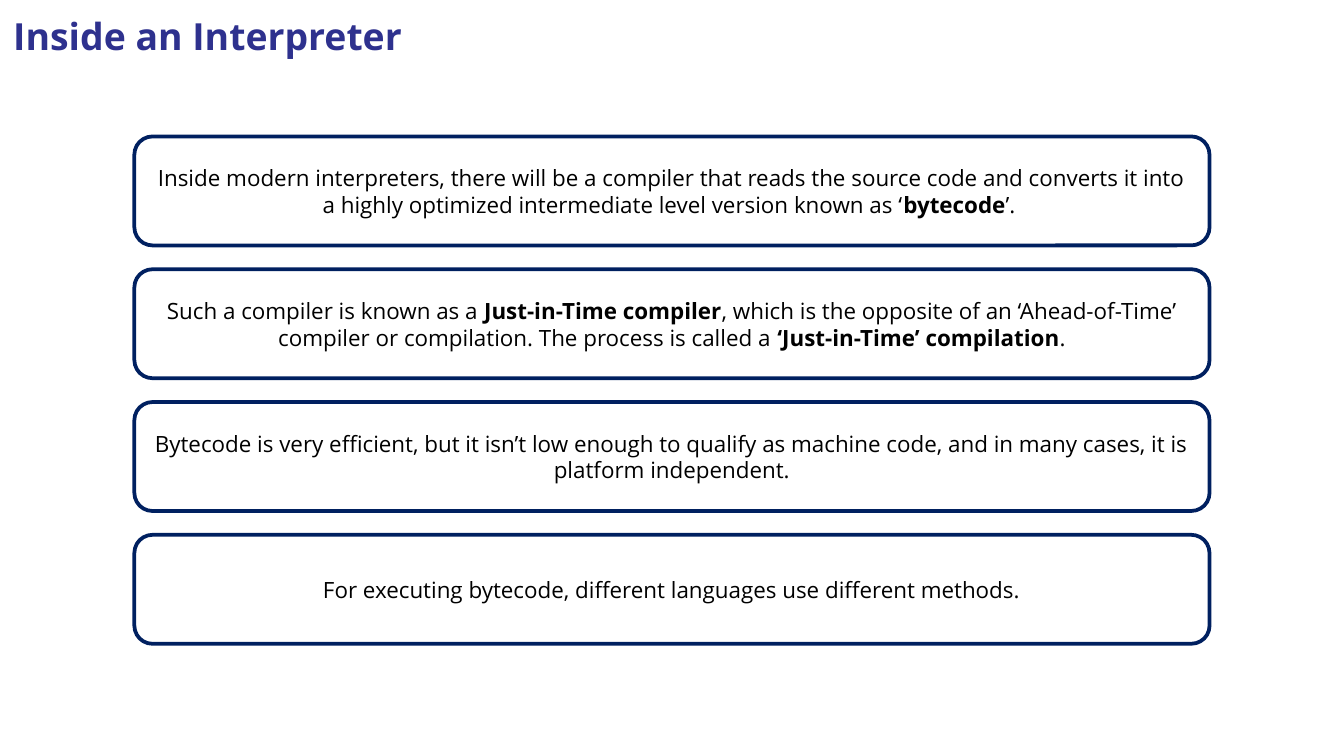
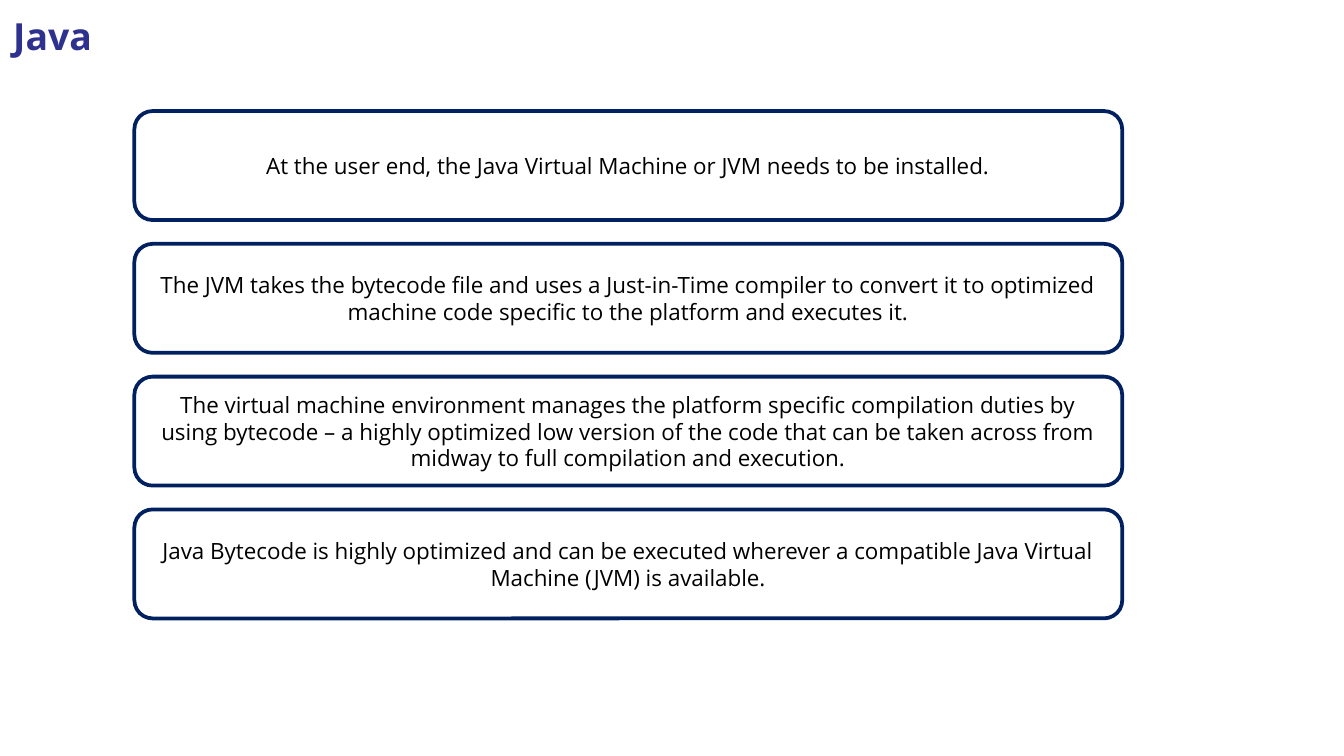
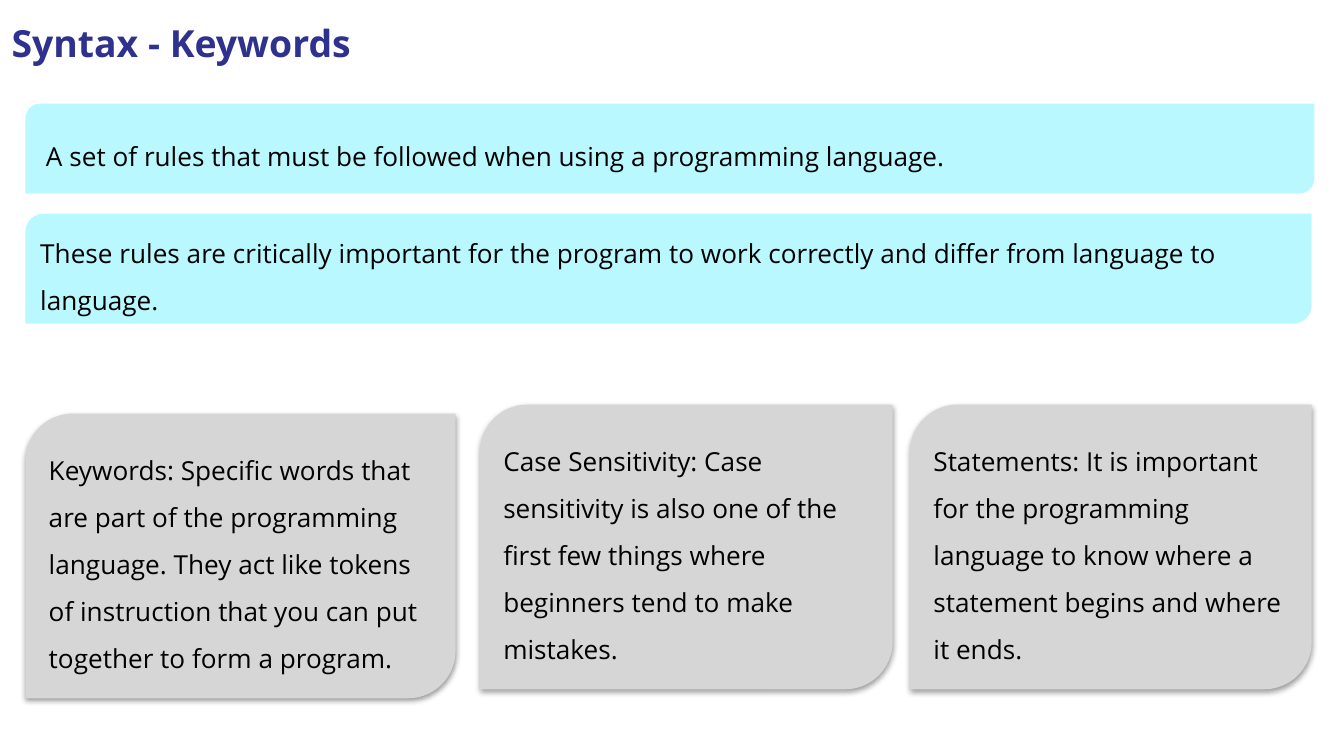
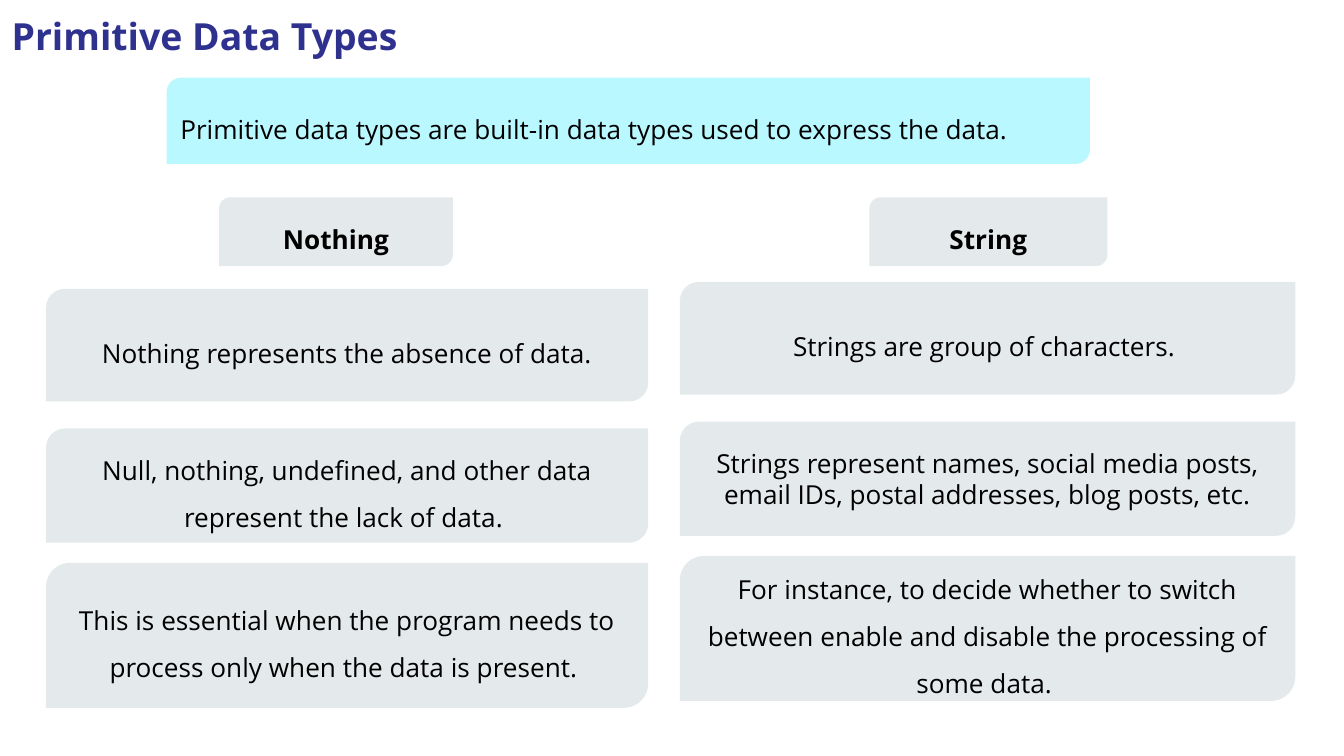
"""Build four slides on interpreters, syntax and primitive data types."""
import dataclasses
import typing

import lxml.etree
import pptx
import pptx.dml.color
import pptx.enum.shapes
import pptx.enum.text
import pptx.oxml.ns
import pptx.shapes.autoshape
import pptx.slide
import pptx.text.text
import pptx.util

Cm = pptx.util.Cm
Pt = pptx.util.Pt
SHAPES = pptx.enum.shapes.MSO_SHAPE
ALIGN = pptx.enum.text.PP_ALIGN
ANCHOR = pptx.enum.text.MSO_ANCHOR

FONT = "Open Sans"
INK = "000000"
NAVY = "002060"
INDIGO = "2E318E"
AQUA = "BAF8FF"
GREY = "D6D6D6"
MIST = "E4E9EB"
BOLD_MARK = "**"


@dataclasses.dataclass(frozen=True)
class Style:
    """Look of a panel and of the text in it."""

    outline: typing.Optional[str] = None
    fill: typing.Optional[str] = None
    geometry: SHAPES = SHAPES.ROUND_2_DIAG_RECTANGLE
    size: float = 14
    align: ALIGN = ALIGN.LEFT
    spacing: float = 1.5
    inset_x: float = 0.18
    inset_y: float = 0.1
    raised: bool = False


@dataclasses.dataclass(frozen=True)
class Panel:
    """A text panel with its place in centimetres."""

    text: str
    left: float
    top: float
    width: float
    height: float
    style: Style


STATEMENT = Style(outline=NAVY, geometry=SHAPES.ROUNDED_RECTANGLE, size=12,
                  align=ALIGN.CENTER, spacing=1, inset_x=0.25, inset_y=0.13)
BAND = Style(fill=AQUA)
CARD = Style(fill=GREY, raised=True)
FACT = Style(fill=MIST, align=ALIGN.CENTER)
TIGHT_FACT = dataclasses.replace(FACT, spacing=1)

INTERPRETER_STATEMENTS = [
    "Inside modern interpreters, there will be a compiler that reads the source code and "
    "converts it into a highly optimized intermediate level version known as ‘**bytecode**’. ",
    "Such a compiler is known as a **Just-in-Time compiler**, which is the opposite of an "
    "‘Ahead-of-Time’ compiler or compilation. The process is called a "
    "**‘Just-in-Time’ compilation**.",
    "Bytecode is very efficient, but it isn’t low enough to qualify as machine code, and in "
    "many cases, it is platform independent.",
    "For executing bytecode, different languages use different methods.",
]
JAVA_STATEMENTS = [
    "At the user end, the Java Virtual Machine or JVM needs to be installed.",
    "The JVM takes the bytecode file and uses a Just-in-Time compiler to convert it to "
    "optimized machine code specific to the platform and executes it.",
    "The virtual machine environment manages the platform specific compilation duties by "
    "using bytecode – a highly optimized low version of the code that can be taken across "
    "from midway to full compilation and execution.",
    "Java Bytecode is highly optimized and can be executed wherever a compatible Java Virtual "
    "Machine (JVM) is available.",
]
SYNTAX_PANELS = [
    Panel(" A set of rules that must be followed when using a programming language.",
          0.48, 1.96, 24.36, 1.7, BAND),
    Panel("These rules are critically important for the program to work correctly and differ "
          "from language to language.", 0.48, 4.04, 24.31, 2.08, BAND),
    Panel("Keywords: Specific words that are part of the programming language. They act like "
          "tokens of instruction that you can put together to form a program. ",
          0.48, 7.82, 8.13, 5.38, CARD),
    Panel("Case Sensitivity: Case sensitivity is also one of the first few things where "
          "beginners tend to make mistakes. ", 9.07, 7.65, 7.8, 5.38, CARD),
    Panel("Statements: It is important for the programming language to know where a statement "
          "begins and where it ends.  ", 17.2, 7.65, 7.59, 5.38, CARD),
]
PRIMITIVE_PANELS = [
    Panel("Primitive data types are built-in data types used to express the data. ",
          3.15, 1.47, 17.45, 1.63, BAND),
    Panel("**Nothing**", 4.14, 3.73, 4.42, 1.3, FACT),
    Panel("**String**", 16.43, 3.73, 4.5, 1.3, FACT),
]
FACT_ROWS = [(5.46, 2.13), (8.1, 2.16), (10.64, 2.74)]
NOTHING_FACTS = [
    ("Nothing represents the absence of data.", FACT),
    ("Null, nothing, undefined, and other data represent the lack of data. ", FACT),
    ("This is essential when the program needs to process only when the data is present. ", FACT),
]
STRING_FACTS = [
    ("Strings are group of characters. ", FACT),
    ("Strings represent names, social media posts, email IDs, postal addresses, blog posts, "
     "etc.", TIGHT_FACT),
    ("For instance, to decide whether to switch between enable and disable the processing of "
     "some data. ", FACT),
]


def rgb(code: str) -> pptx.dml.color.RGBColor:
    """Turn a hex string into a colour."""
    return pptx.dml.color.RGBColor.from_string(code)


def apply(target: typing.Any, formats: dict[str, typing.Any]) -> None:
    """Set each format value on the target."""
    for attribute, value in formats.items():
        setattr(target, attribute, value)


def write(frame: pptx.text.text.TextFrame, text: str, size: float, color: str,
          align: ALIGN, spacing: float) -> None:
    """Write one paragraph, with marked parts in bold."""
    paragraph = frame.paragraphs[0]
    apply(paragraph, {"alignment": align, "line_spacing": spacing})
    for index, part in enumerate(text.split(BOLD_MARK)):
        if part:
            run = paragraph.add_run()
            run.text = part
            apply(run.font, {"name": FONT, "size": Pt(size), "bold": index % 2 == 1})
            run.font.color.rgb = rgb(color)


def set_frame(frame: pptx.text.text.TextFrame, inset_x: float, inset_y: float,
              anchor: ANCHOR) -> None:
    """Set wrapping, insets and anchor of a text frame."""
    apply(frame, {"word_wrap": True, "vertical_anchor": anchor,
                  "margin_left": Cm(inset_x), "margin_right": Cm(inset_x),
                  "margin_top": Cm(inset_y), "margin_bottom": Cm(inset_y)})


def add_title(slide: pptx.slide.Slide, text: str, left: float = 0, top: float = 0) -> None:
    """Add the slide title."""
    heading = slide.shapes.add_textbox(Cm(left), Cm(top), Cm(20.2), Cm(1.28))
    set_frame(heading.text_frame, 0.25, 0.25, ANCHOR.TOP)
    write(heading.text_frame, f"{BOLD_MARK}{text}{BOLD_MARK}", 20, INDIGO, ALIGN.LEFT, 1)


def raise_card(card: pptx.shapes.autoshape.Shape) -> None:
    """Give a card a soft shadow below it."""
    qn = pptx.oxml.ns.qn
    effects = card._element.spPr.find(qn("a:effectLst"))
    shadow = lxml.etree.SubElement(
        effects, qn("a:outerShdw"), blurRad=str(Pt(3.1)), dist=str(Pt(1.6)),
        dir="5400000", rotWithShape="0")
    tint = lxml.etree.SubElement(shadow, qn("a:srgbClr"), val=INK)
    lxml.etree.SubElement(tint, qn("a:alpha"), val="38000")


def add_panel(slide: pptx.slide.Slide, panel: Panel) -> None:
    """Draw one text panel."""
    style = panel.style
    body = slide.shapes.add_shape(style.geometry, Cm(panel.left), Cm(panel.top),
                                  Cm(panel.width), Cm(panel.height))
    body.shadow.inherit = False
    if style.fill:
        body.fill.solid()
        body.fill.fore_color.rgb = rgb(style.fill)
    else:
        body.fill.background()
    if style.outline:
        body.line.color.rgb = rgb(style.outline)
        body.line.width = Pt(2)
    else:
        body.line.fill.background()
    if style.raised:
        raise_card(body)
    set_frame(body.text_frame, style.inset_x, style.inset_y, ANCHOR.MIDDLE)
    write(body.text_frame, panel.text, style.size, INK, style.align, style.spacing)


def stack_statements(texts: list[str], top: float, width: float) -> list[Panel]:
    """Place outlined statements below each other at an equal pitch."""
    return [Panel(text, 2.54, top + 2.51 * row, width, 2.06, STATEMENT)
            for row, text in enumerate(texts)]


def stack_facts(facts: list[tuple[str, Style]], left: float, width: float,
                rise: float = 0) -> list[Panel]:
    """Place a column of facts on the shared rows."""
    return [Panel(text, left, top - rise, width, height, style)
            for (text, style), (top, height) in zip(facts, FACT_ROWS)]


def main() -> None:
    """Build and save the presentation."""
    deck = pptx.Presentation()
    apply(deck, {"slide_width": Cm(25.4), "slide_height": Cm(14.29)})
    contents = [
        (("Inside an Interpreter",), stack_statements(INTERPRETER_STATEMENTS, 2.58, 20.32)),
        (("Java",), stack_statements(JAVA_STATEMENTS, 2.1, 18.67)),
        (("Syntax - Keywords", -0.03, 0.13), SYNTAX_PANELS),
        (("Primitive Data Types", -0.03), PRIMITIVE_PANELS
         + stack_facts(NOTHING_FACTS, 0.87, 11.38)
         + stack_facts(STRING_FACTS, 12.85, 11.63, rise=0.13)),
    ]
    for title, panels in contents:
        slide = deck.slides.add_slide(deck.slide_layouts[6])
        add_title(slide, *title)
        for panel in panels:
            add_panel(slide, panel)
    deck.save("out.pptx")


if __name__ == "__main__":
    main()
